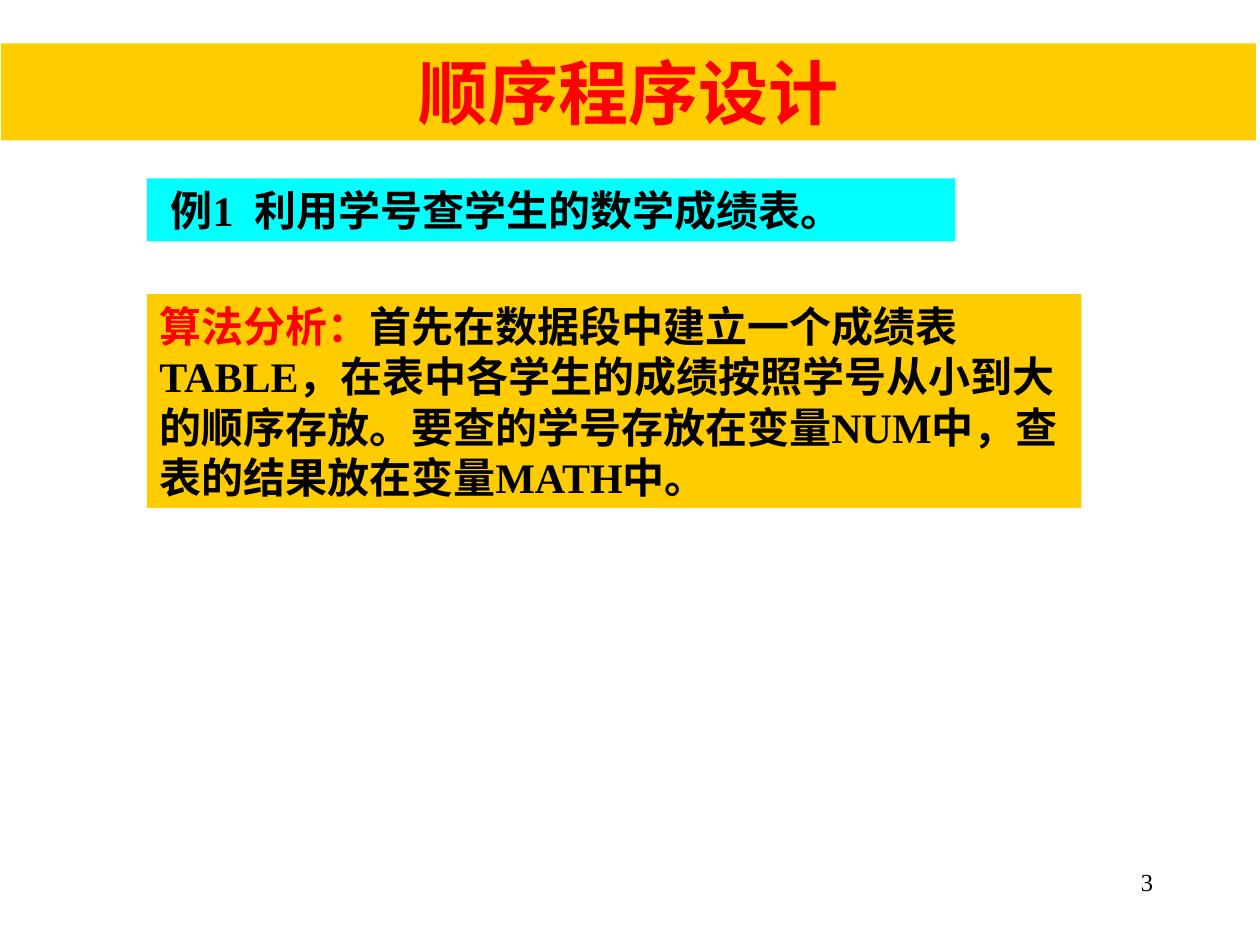
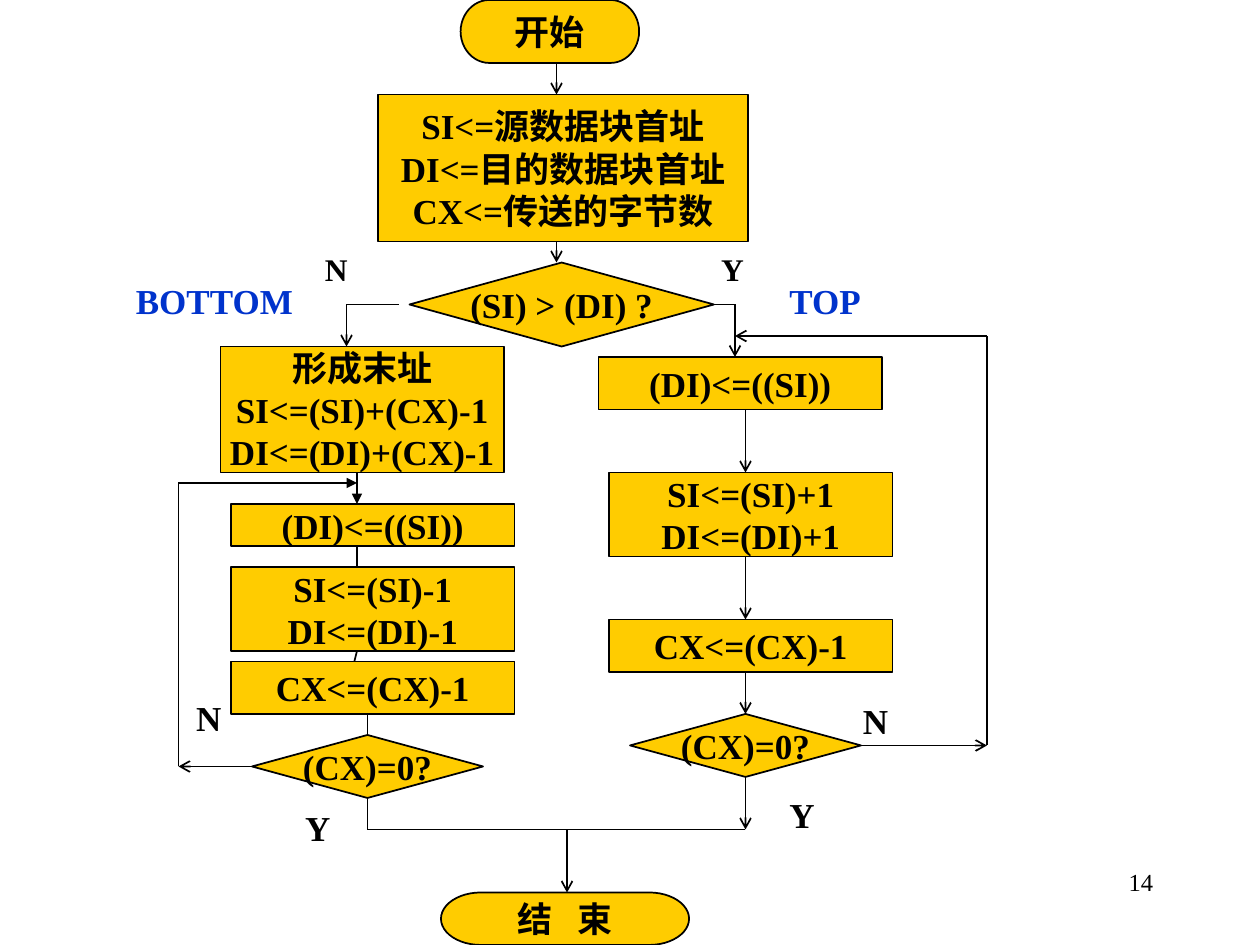
from lxml import etree
from pptx import Presentation
from pptx.dml.color import RGBColor
from pptx.enum import shapes, text
from pptx.oxml import ns
from pptx.util import Pt

PX = 9525  # EMU in one px, 96 px to the inch
GOLD = RGBColor(0xFF, 0xCC, 0x00)
CYAN = RGBColor(0x00, 0xFF, 0xFF)
RED = RGBColor(0xFF, 0x00, 0x00)
BLUE = RGBColor(0x00, 0x33, 0xCC)
BLACK = RGBColor(0x00, 0x00, 0x00)
SERIF = "Times New Roman"
HAN = "Noto Sans CJK SC"

BAND = shapes.MSO_SHAPE.RECTANGLE
STEP = shapes.MSO_SHAPE.FLOWCHART_PROCESS
TEST = shapes.MSO_SHAPE.FLOWCHART_DECISION
TERMINAL = shapes.MSO_SHAPE.FLOWCHART_TERMINATOR
LEFT, CENTER, RIGHT = (text.PP_ALIGN.LEFT, text.PP_ALIGN.CENTER,
                       text.PP_ALIGN.RIGHT)
TOP, MIDDLE = text.MSO_ANCHOR.TOP, text.MSO_ANCHOR.MIDDLE


def emu(lengths):
    return [length * PX for length in lengths]


# Text
def add_run(paragraph, words, size, color=BLACK, bold=True, latin=SERIF,
            spacing=0):
    run = paragraph.add_run()
    run.text = words
    look = {"size": Pt(size), "bold": bold, "name": latin}
    for name, value in look.items():
        setattr(run.font, name, value)
    run.font.color.rgb = color
    properties = run.font._element
    etree.SubElement(properties, ns.qn("a:ea"), typeface=HAN)
    if spacing:
        properties.set("spc", str(spacing * 100))


def set_frame(frame, wrap=True, anchor=TOP):
    layout = {"word_wrap": wrap, "vertical_anchor": anchor,
              "margin_left": Pt(7.2), "margin_right": Pt(7.2),
              "margin_top": Pt(3.6), "margin_bottom": Pt(3.6)}
    for name, value in layout.items():
        setattr(frame, name, value)


def add_label(slide, box, words, size=20, align=LEFT, **look):
    frame = slide.shapes.add_textbox(*emu(box)).text_frame
    set_frame(frame)
    paragraph = frame.paragraphs[0]
    paragraph.alignment = align
    add_run(paragraph, words, size, **look)


def add_page_number(slide, number):
    add_label(slide, (688, 656, 200, 48), number, 14, RIGHT, bold=False)


# Filled shapes
def add_filled(slide, kind, box, fill):
    shape = slide.shapes.add_shape(kind, *emu(box))
    shape.shadow.inherit = False
    shape.fill.solid()
    shape.fill.fore_color.rgb = fill
    return shape


def add_band(slide, box, fill, runs, align=LEFT):
    band = add_filled(slide, BAND, box, fill)
    band.line.fill.background()
    set_frame(band.text_frame)
    paragraph = band.text_frame.paragraphs[0]
    paragraph.alignment = align
    for run in runs:
        add_run(paragraph, **run)
    return band


def add_node(slide, kind, box, lines):
    """Draw a flowchart node; each line is a list of (words, spacing)."""
    node = add_filled(slide, kind, box, GOLD)
    node.line.color.rgb = BLACK
    node.line.width = Pt(1)
    frame = node.text_frame
    set_frame(frame, wrap=False, anchor=MIDDLE)
    for index, line in enumerate(lines):
        paragraph = frame.add_paragraph() if index else frame.paragraphs[0]
        paragraph.alignment = CENTER
        for words, spacing in line:
            add_run(paragraph, words, 20, spacing=spacing)


def plain(*lines):
    return [[(line, 0)] for line in lines]


# Flow lines
def add_route(slide, points, head=None):
    """Join the points with straight lines, with a head on the last one."""
    for start, end in zip(points, points[1:]):
        link = slide.shapes.add_connector(shapes.MSO_CONNECTOR.STRAIGHT,
                                          *emu(start + end))
        link.line.color.rgb = BLACK
        link.line.width = Pt(1)
        etree.SubElement(link._element.spPr, ns.qn("a:effectLst"))
    if head:
        etree.SubElement(link.line._get_or_add_ln(), ns.qn("a:tailEnd"),
                         type=head)


# Slides
def build_example(slide):
    example = add_band(slide, (112, 136, 616, 48), CYAN, [
        {"words": "例1", "size": 24},
        {"words": " ", "size": 24, "spacing": 6},
        {"words": "利用学号查学生的数学成绩表。", "size": 24}])
    example.text_frame.margin_left = 18 * PX
    add_band(slide, (112, 224, 712, 163), GOLD, [
        {"words": "算法分析：", "size": 24, "color": RED},
        {"words": "首先在数据段中建立一个成绩表TABLE，在表中各学生的成绩"
                  "按照学号从小到大的顺序存放。要查的学号存放在变量NUM中，"
                  "查表的结果放在变量MATH中。", "size": 24}])
    add_band(slide, (1, 33, 956, 74), GOLD, [
        {"words": "顺序程序设计", "size": 40, "color": RED, "latin": HAN}],
        CENTER)
    add_page_number(slide, "3")


def build_flowchart(slide):
    # Shared start, comparison and end
    add_node(slide, TERMINAL, (351, 0, 136, 48), plain("开始"))
    add_node(slide, STEP, (288, 72, 282, 112),
             plain("SI<=源数据块首址", "DI<=目的数据块首址", "CX<=传送的字节数"))
    add_node(slide, TEST, (312, 200, 232, 64), plain("(SI) > (DI) ?"))
    add_node(slide, TERMINAL, (336, 680, 189, 40),
             [[("结", 0), (" ", 10), ("束", 0)]])

    # Branch nodes: left edge, top, height, lines
    branch_steps = [
        (168, 264, 96, ("形成末址", "SI<=(SI)+(CX)-1", "DI<=(DI)+(CX)-1")),
        (176, 384, 32, ("(DI)<=((SI))",)),
        (176, 432, 64, ("SI<=(SI)-1", "DI<=(DI)-1")),
        (176, 504, 40, ("CX<=(CX)-1",)),
        (456, 272, 40, ("(DI)<=((SI))",)),
        (464, 360, 64, ("SI<=(SI)+1", "DI<=(DI)+1")),
        (464, 472, 40, ("CX<=(CX)-1",)),
    ]
    for left, top, height, lines in branch_steps:
        add_node(slide, STEP, (left, top, 216, height), plain(*lines))
    for left, top in ((192, 560), (480, 544)):
        add_node(slide, TEST, (left, top, 176, 48), plain("(CX)=0?"))

    # Routes with open arrows
    open_routes = [
        [(424, 48), (424, 72)],
        [(424, 184), (424, 200)],
        [(304, 232), (264, 232), (264, 264)],
        [(544, 232), (560, 232), (560, 272)],
        [(568, 312), (568, 360)],
        [(568, 424), (568, 472)],
        [(568, 512), (568, 544)],
        [(568, 592), (568, 632)],
        [(432, 632), (432, 680)],
        [(656, 568), (752, 568)],
        [(752, 568), (752, 256), (560, 256)],
        [(192, 584), (136, 584)],
    ]
    solid_routes = [
        [(272, 360), (272, 384)],
        [(136, 584), (136, 368), (272, 368)],
    ]
    bare_routes = [
        [(272, 416), (272, 432)],
        [(272, 496), (270, 504)],
        [(280, 544), (280, 560)],
        [(280, 608), (280, 632), (568, 632)],
    ]
    for head, routes in (("arrow", open_routes), ("triangle", solid_routes),
                         (None, bare_routes)):
        for points in routes:
            add_route(slide, points, head)

    # Branch answers and names
    add_label(slide, (238, 186, 32, 38), "N", 18)
    add_label(slide, (540, 186, 48, 38), "Y", 18)
    add_label(slide, (648, 528, 64, 42), "N")
    add_label(slide, (592, 600, 56, 42), "Y")
    add_label(slide, (140, 526, 56, 42), "N")
    add_label(slide, (223, 610, 40, 42), "Y")
    add_label(slide, (94, 208, 151, 42), "BOTTOM", color=BLUE)
    add_label(slide, (592, 208, 112, 42), "TOP", color=BLUE)
    add_page_number(slide, "14")


def main():
    deck = Presentation()
    deck.slide_width, deck.slide_height = emu((960, 720))
    blank = deck.slide_layouts[6]
    for build in (build_example, build_flowchart):
        build(deck.slides.add_slide(blank))
    deck.save("out.pptx")


if __name__ == "__main__":
    main()
